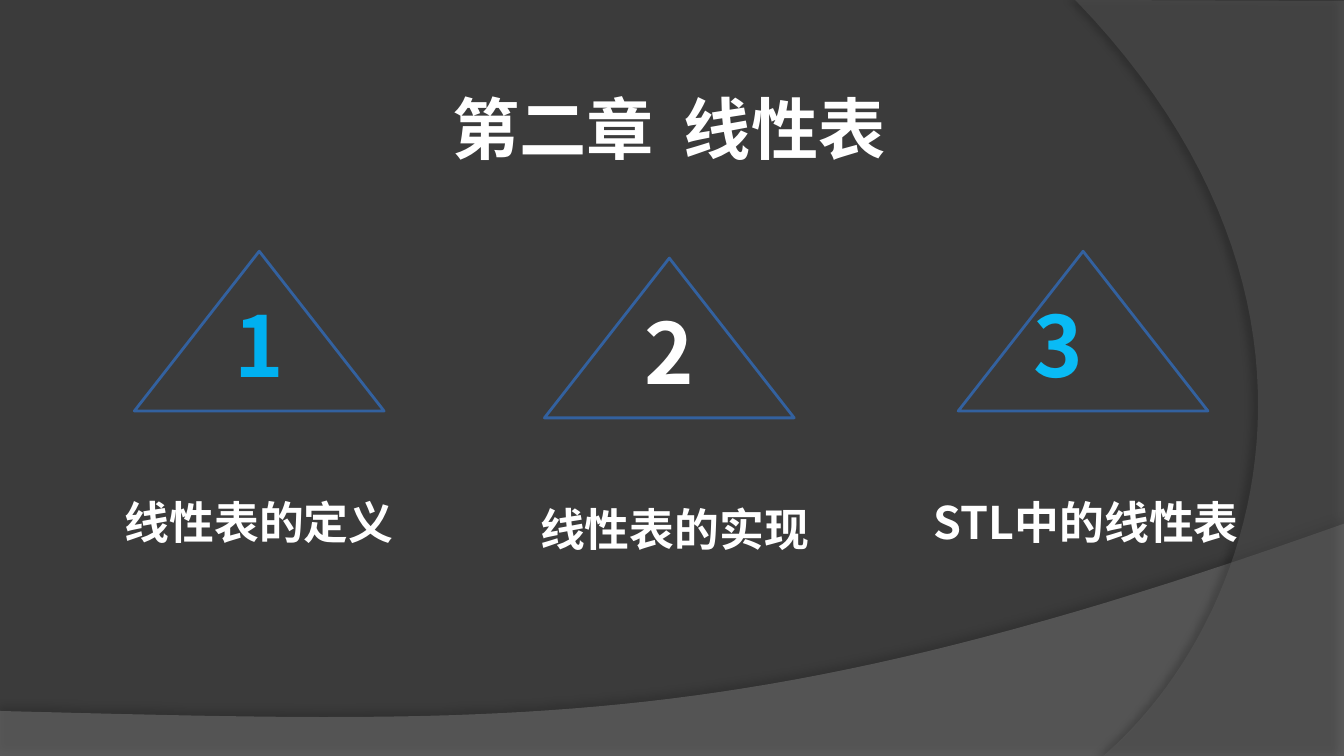
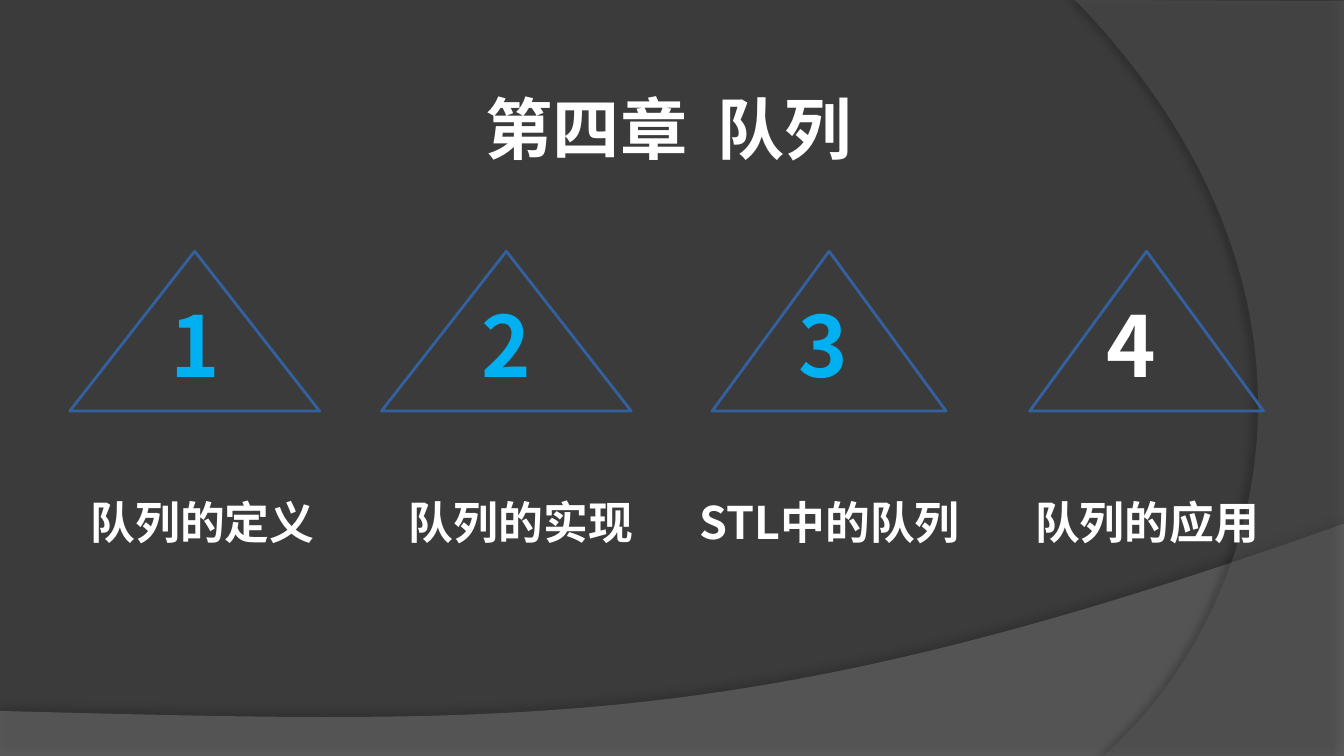
from dataclasses import dataclass

from pptx import Presentation
from pptx.dml.color import RGBColor
from pptx.enum.shapes import MSO_SHAPE
from pptx.enum.text import MSO_AUTO_SIZE, PP_ALIGN
from pptx.oxml import parse_xml
from pptx.oxml.ns import nsdecls, qn
from pptx.util import Cm, Pt

# Shared look
FONT = "Noto Sans CJK SC"
BACKDROP = RGBColor(0x3B, 0x3B, 0x3B)
LOWER_WAVE = RGBColor(0x7F, 0x7F, 0x7F)
SIDE_WAVE = RGBColor(0x5E, 0x5E, 0x5E)
WHITE = RGBColor(0xFF, 0xFF, 0xFF)
CYAN = RGBColor(0x00, 0xB0, 0xF0)
BRIGHT_CYAN = RGBColor(0x09, 0xBB, 0xF5)
EDGE_BLUE = RGBColor(0x33, 0x61, 0x9F)

SLIDE_WIDTH, SLIDE_HEIGHT = 25.4, 14.29
TITLE_BOX = (8.03, 1.17, 9.22, 2.11)
TITLE_FRAME = dict(margin_left=Cm(0.18), margin_right=Cm(0.18),
                   margin_top=Cm(0.1), margin_bottom=Cm(0.1))
COLUMN_TOP, TRIANGLE_HEIGHT = 4.75, 3.02
CURVE_STEPS = 48


@dataclass
class Topic:
    number: str
    label: str
    left: float
    label_width: float
    color: RGBColor = CYAN
    top: float = COLUMN_TOP
    width: float = 4.72
    label_dx: float = -0.43
    number_dx: float = 0.13
    align: PP_ALIGN = PP_ALIGN.LEFT
    label_indent: float = 0
    number_indent: float = 0
    outlined: bool = False


# Topics on the right have centred labels and shifted numbers
CENTRED = dict(label_dx=-0.78, number_dx=-0.34, align=PP_ALIGN.CENTER)

CHAPTERS = [
    (("第二章", "线性表"), [
        Topic("1", "线性表的定义", 2.54, 6, outlined=True),
        Topic("2", "线性表的实现", 10.29, 5.74, WHITE, top=4.88, label_dx=-0.33),
        Topic("3", "STL中的线性表", 18.11, 6.4, BRIGHT_CYAN, **CENTRED),
    ]),
    (("第四章", "队列"), [
        Topic("1", "队列的定义", 1.32, 6, label_indent=0.57, outlined=True),
        Topic("2", "队列的实现", 7.21, 5.74, label_dx=-0.3, label_indent=0.57),
        Topic("3", "STL中的队列", 13.46, 6, width=4.42, number_indent=0.71, **CENTRED),
        Topic("4", "队列的应用", 19.46, 6, WHITE, width=4.42, number_indent=0.36,
              **CENTRED),
    ]),
]


def apply_format(target, values):
    for name, value in values.items():
        setattr(target, name, value)


def add_text(slide, box, pieces, size, color, line_spacing=1.0,
             align=PP_ALIGN.CENTER, indent=0, frame_format=None):
    """Place one paragraph in the box and return its runs."""
    frame = slide.shapes.add_textbox(*map(Cm, box)).text_frame
    apply_format(frame, dict(word_wrap=True,
                             auto_size=MSO_AUTO_SIZE.SHAPE_TO_FIT_TEXT,
                             **(frame_format or {})))
    paragraph = frame.paragraphs[0]
    apply_format(paragraph, dict(alignment=align, line_spacing=line_spacing))
    if indent:
        paragraph._p.get_or_add_pPr().set("marL", str(Cm(indent)))
    runs = []
    for piece in pieces:
        run = paragraph.add_run()
        run.text = piece
        apply_format(run.font, dict(name=FONT, size=Pt(size), bold=True))
        run.font.color.rgb = color
        east_asian = parse_xml(f'<a:ea {nsdecls("a")} typeface="{FONT}"/>')
        run.font._element.find(qn("a:latin")).addnext(east_asian)
        runs.append(run)
    return runs


def bezier(start, first, second, end):
    """Points along a cubic curve, without its start."""
    for step in range(1, CURVE_STEPS + 1):
        t = step / CURVE_STEPS
        weights = ((1 - t) ** 3, 3 * t * (1 - t) ** 2, 3 * t * t * (1 - t), t ** 3)
        yield tuple(sum(w * p[axis] for w, p in
                        zip(weights, (start, first, second, end)))
                    for axis in (0, 1))


def add_wave(slide, left, top, corners, curve, color, opacity, shadow):
    """Draw a translucent band: straight corners, then one curved edge."""
    points = [(Cm(left + x), Cm(top + y))
              for x, y in [*corners, *bezier(corners[-1], *curve)]]
    builder = slide.shapes.build_freeform(*points[0], scale=1.0)
    builder.add_line_segments(points[1:], close=True)
    wave = builder.convert_to_shape()
    wave.fill.solid()
    wave.fill.fore_color.rgb = color
    wave.line.fill.background()
    tint = wave._element.spPr.find(qn("a:solidFill"))[0]
    tint.append(parse_xml(f'<a:alpha {nsdecls("a")} val="{opacity * 1000}"/>'))
    strength, blur, distance, angle = shadow
    wave._element.spPr.append(parse_xml(
        f'<a:effectLst {nsdecls("a")}><a:outerShdw blurRad="{Pt(blur)}" '
        f'dist="{Pt(distance)}" dir="{angle * 60000}" algn="ctr" rotWithShape="0">'
        f'<a:srgbClr val="000000"><a:alpha val="{strength * 1000}"/></a:srgbClr>'
        '</a:outerShdw></a:effectLst>'))


def add_backdrop(slide):
    slide.background.fill.solid()
    slide.background.fill.fore_color.rgb = BACKDROP
    # Lower band
    add_wave(slide, 0, 9.9,
             [(0, 3.54), (0, 4.39), (SLIDE_WIDTH, 4.39), (SLIDE_WIDTH, 0)],
             [(14.2, 3.99), (9.93, 3.79), (0, 3.54)],
             LOWER_WAVE, 45, (35, 4, 3.5, 270))
    # Right band
    add_wave(slide, 20.32, 0,
             [(5.08, 0.02), (5.08, SLIDE_HEIGHT), (0.53, SLIDE_HEIGHT)],
             [(3.43, 11.79), (5.54, 5.72), (0, 0)],
             SIDE_WAVE, 40, (45, 4, 4, 180))


def add_title(slide, box, chapter, subject):
    gap = add_text(slide, box, (chapter, " ", subject), 36, WHITE, 1.25,
                   frame_format=TITLE_FRAME)[1]
    # Widen the space between chapter and subject
    gap.font._element.set("spc", "800")


def add_topic(slide, topic):
    left, top = topic.left, topic.top
    # Label under the triangle
    add_text(slide, (left + topic.label_dx, top + 3.97, topic.label_width, 1.8),
             [topic.label], 24, WHITE, 1.5, topic.align, topic.label_indent)
    # Triangle
    triangle = slide.shapes.add_shape(
        MSO_SHAPE.ISOSCELES_TRIANGLE,
        *map(Cm, (left, top, topic.width, TRIANGLE_HEIGHT)))
    triangle.shadow.inherit = False
    triangle.fill.background()
    triangle.line.color.rgb = EDGE_BLUE
    triangle.line.width = Pt(1.5)
    # Number inside the triangle
    number_box = (left + topic.number_dx, top + 0.67, topic.width - 0.25, 2.18)
    number, = add_text(slide, number_box, [topic.number], 45, topic.color,
                       indent=topic.number_indent)
    if topic.outlined:
        number.font._element.insert(0, parse_xml(
            f'<a:ln {nsdecls("a")} w="{Pt(0.75)}"><a:solidFill>'
            '<a:srgbClr val="000000"/></a:solidFill></a:ln>'))


def add_chapter(deck, title, topics):
    slide = deck.slides.add_slide(deck.slide_layouts[6])
    add_backdrop(slide)
    add_title(slide, TITLE_BOX, *title)
    for topic in topics:
        add_topic(slide, topic)


def main():
    deck = Presentation()
    apply_format(deck, dict(slide_width=Cm(SLIDE_WIDTH),
                            slide_height=Cm(SLIDE_HEIGHT)))
    for title, topics in CHAPTERS:
        add_chapter(deck, title, topics)
    deck.save("out.pptx")


if __name__ == "__main__":
    main()
